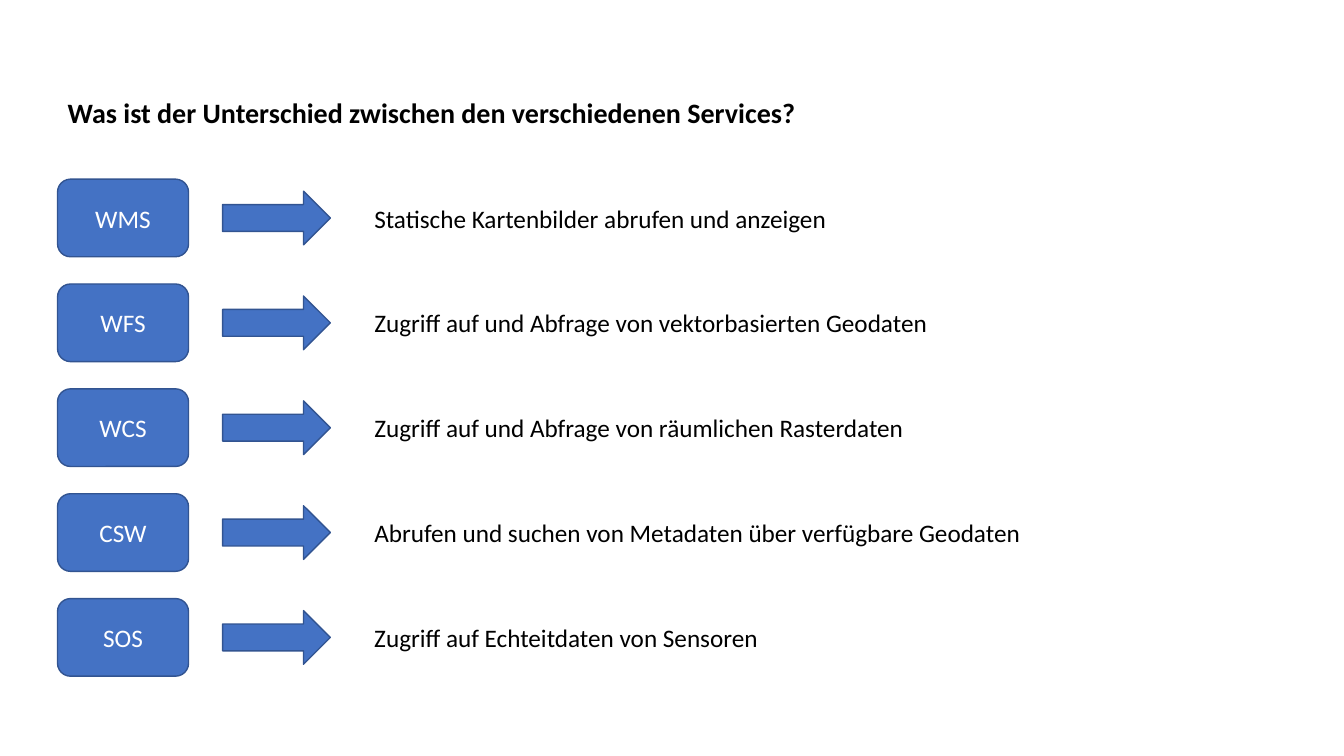
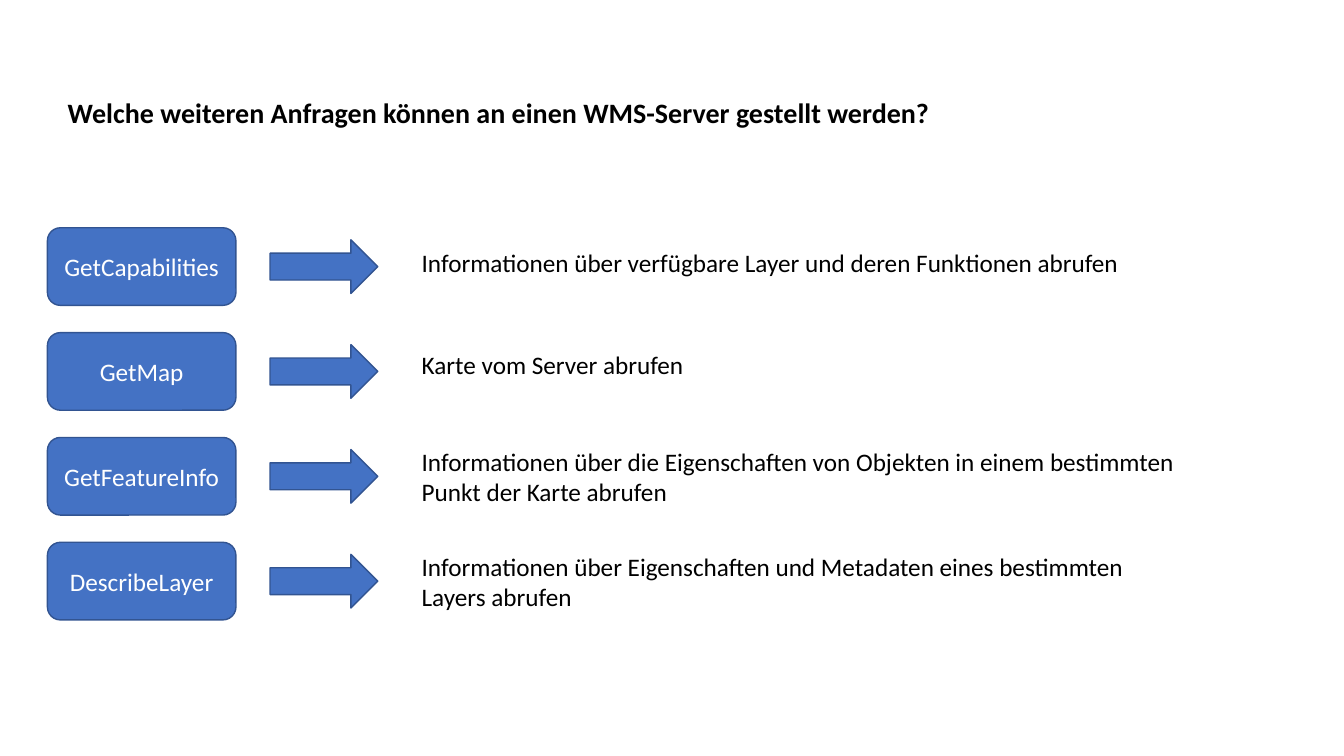
from pptx import Presentation
from pptx.dml.color import RGBColor
from pptx.enum.shapes import MSO_SHAPE
from pptx.enum.text import MSO_ANCHOR, PP_ALIGN
from pptx.util import Inches, Pt

ROUND, ARROW = MSO_SHAPE.ROUNDED_RECTANGLE, MSO_SHAPE.RIGHT_ARROW
MIDDLE = MSO_ANCHOR.MIDDLE
LEFT, CENTER = PP_ALIGN.LEFT, PP_ALIGN.CENTER
BLUE, EDGE, BLACK, WHITE = "4472C4", "325491", "000000", "FFFFFF"
FONT = "Calibri"

deck = Presentation()
deck.slide_width, deck.slide_height = Inches(13.33), Inches(7.5)
COL, ROW = deck.slide_width / 100, deck.slide_height / 100
MARGIN = 4.28
STEP = 13.87
BOX_HIGH = 10.27
ARROW_WIDE, ARROW_HIGH = 8.02, 7.1
GAP = 2.53
LINE_HIGH = {1: 5.33, 2: 9.43}


def color(code):
    return RGBColor.from_string(code)


def area(left, top, wide, high):
    return round(left * COL), round(top * ROW), round(wide * COL), round(high * ROW)


def write(shape, text, size, ink, align=LEFT, bold=False, wrap=True):
    frame = shape.text_frame
    frame.text = text
    frame.word_wrap = wrap
    frame.vertical_anchor = MIDDLE
    for para in frame.paragraphs:
        para.alignment = align
        for run in para.runs:
            font = run.font
            font.name, font.size, font.bold = FONT, Pt(size), bold
            font.color.rgb = color(ink)


def block(slide, kind, place):
    shape = slide.shapes.add_shape(kind, *area(*place))
    shape.shadow.inherit = False
    shape.fill.solid()
    shape.fill.fore_color.rgb = color(BLUE)
    shape.line.color.rgb = color(EDGE)
    shape.line.width = Pt(1)
    return shape


def heading(slide, text, wide):
    title = slide.shapes.title
    title.left, title.top, title.width, title.height = area(MARGIN, 11.87, wide, 5.87)
    write(title, text, 20, BLACK, bold=True, wrap=False)


def entry(slide, left, mid, wide, name, text, span, lines=1, lift=0):
    box = block(slide, ROUND, (left, mid - BOX_HIGH / 2, wide, BOX_HIGH))
    write(box, name, 18, WHITE, CENTER)
    left += wide + GAP
    block(slide, ARROW, (left, mid - ARROW_HIGH / 2, ARROW_WIDE, ARROW_HIGH))
    left += ARROW_WIDE + GAP
    high = LINE_HIGH[lines]
    note = slide.shapes.add_textbox(*area(left, mid - high / 2 - lift, span, high))
    write(note, text, 18, BLACK, wrap=lines > 1)


def page(title, title_wide, left, top, wide, rows):
    slide = deck.slides.add_slide(deck.slide_layouts[5])
    heading(slide, title, title_wide)
    for i, row in enumerate(rows):
        entry(slide, left, top + BOX_HIGH / 2 + i * STEP, wide, *row)


page("Was ist der Unterschied zwischen den verschiedenen Services?", 56.2,
     MARGIN, 23.7, 9.75, [
         ("WMS", "Statische Kartenbilder abrufen und anzeigen", 36),
         ("WFS", "Zugriff auf und Abfrage von vektorbasierten Geodaten", 43.2),
         ("WCS", "Zugriff auf und Abfrage von räumlichen Rasterdaten", 41.4),
         ("CSW", "Abrufen und suchen von Metadaten über verfügbare Geodaten", 50.2),
         ("SOS", "Zugriff auf Echteitdaten von Sensoren", 30.8),
     ])

page("Welche weiteren Anfragen können an einen WMS-Server gestellt werden?", 67.2,
     3.53, 30.13, 14.03, [
         ("GetCapabilities",
          "Informationen über verfügbare Layer und deren Funktionen abrufen", 55, 1, 0.6),
         ("GetMap", "Karte vom Server abrufen", 21.7, 1, 0.87),
         ("GetFeatureInfo",
          "Informationen über die Eigenschaften von Objekten in einem bestimmten "
          "Punkt der Karte abrufen", 60.15, 2),
         ("DescribeLayer",
          "Informationen über Eigenschaften und Metadaten eines bestimmten "
          "Layers abrufen", 58, 2),
     ])

deck.save("out.pptx")
